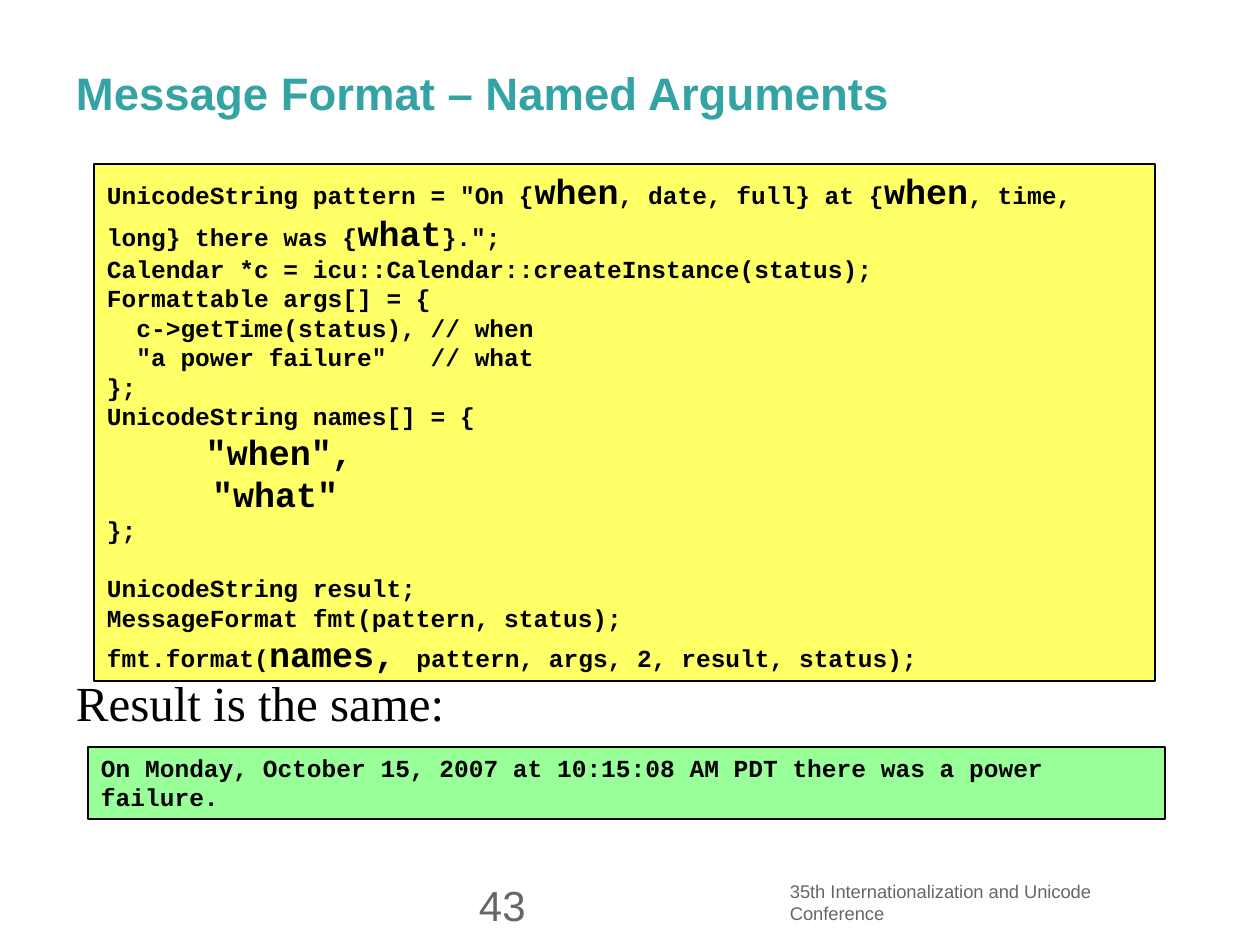
from dataclasses import dataclass

from pptx import Presentation, util as u
from pptx.dml.color import RGBColor
from pptx.enum import shapes, text

PX = u.Inches(1) / 126


@dataclass(frozen=True)
class Theme:
    teal: str = "33A3A3"
    black: str = "000000"
    gray: str = "666666"
    yellow: str = "FFFF66"
    green: str = "99FF99"
    sans: str = "Arial"
    serif: str = "Times New Roman"
    mono: str = "Courier New"
    title: float = 26
    code: float = 14
    emphasis: float = 20
    body: float = 28
    footer: float = 10.5
    number: float = 24


T = Theme()


def place(sp, box, inset=(13, 6, 13, 6), anchor=text.MSO_ANCHOR.TOP):
    """Set position and text frame layout in px; return the text frame."""
    sp.left, sp.top, sp.width, sp.height = [u.Emu(round(v * PX)) for v in box]
    tf = sp.text_frame
    tf.word_wrap = True
    tf.auto_size = text.MSO_AUTO_SIZE.NONE
    tf.vertical_anchor = anchor
    tf.margin_left, tf.margin_top, tf.margin_right, tf.margin_bottom = [
        u.Emu(round(v * PX)) for v in inset]
    return tf


def add_run(p, words, size, font, color, bold=False):
    p.alignment = text.PP_ALIGN.LEFT
    r = p.add_run()
    r.text = words
    r.font.size = u.Pt(size)
    r.font.name = font
    r.font.bold = bold
    r.font.color.rgb = RGBColor.from_string(color)


prs = Presentation()
prs.slide_width, prs.slide_height = u.Inches(10), u.Inches(7.5)
s = prs.slides.add_slide(prs.slide_layouts[5])

tf = place(s.shapes.title, (63, 32, 1134, 94), anchor=text.MSO_ANCHOR.BOTTOM)
add_run(tf.paragraphs[0], "Message Format – Named Arguments",
        T.title, T.sans, T.teal, True)

# Runs in a code line alternate between normal and emphasized size.
code = [
    ['UnicodeString pattern = "On {', "when", ", date, full} at {", "when",
     ", time, long} there was {", "what", '}.";'],
    ["Calendar *c = icu::Calendar::createInstance(status);"],
    ["Formattable args[] = {"],
    ["  c->getTime(status), // when"],
    ['  "a power failure"   // what'],
    ["};"],
    ["UnicodeString names[] = {"],
    [" ", '    "when",'],
    ["", '     "what"'],
    ["};"],
    ["UnicodeString result;"],
    ["MessageFormat fmt(pattern, status);"],
    ["fmt.format(", "names, ", "pattern, args, 2, result, status);"],
]
output = [["On Monday, October 15, 2007 at 10:15:08 AM PDT "
           "there was a power failure."]]
RESULT_LINE = 10

for box, fill, lines in [((94, 164, 1061, 517), T.yellow, code),
                         ((88, 747, 1077, 72), T.green, output)]:
    sp = s.shapes.add_shape(shapes.MSO_SHAPE.RECTANGLE, 0, 0, 0, 0)
    sp.shadow.inherit = False
    sp.fill.solid()
    sp.fill.fore_color.rgb = RGBColor.from_string(fill)
    sp.line.color.rgb = RGBColor.from_string(T.black)
    sp.line.width = u.Pt(1)
    tf = place(sp, box)
    for i, line in enumerate(lines):
        p = tf.paragraphs[0] if i == 0 else tf.add_paragraph()
        if i == RESULT_LINE:
            p.space_before = u.Pt(16.8)
        for j, words in enumerate(line):
            if words:
                size = T.emphasis if j % 2 else T.code
                add_run(p, words, size, T.mono, T.black, True)

labels = [
    ("Result is the same:", (63, 673, 1071, 63), (13, 6, 13, 6),
     T.body, T.serif, T.black, 0.9),
    ("35th Internationalization and Unicode Conference", (790, 880, 378, 45),
     (0, 0, 0, 0), T.footer, T.sans, T.gray, 1.0),
    ("43", (479, 879, 302, 47), (0, 0, 0, 0),
     T.number, T.sans, T.gray, 1.0),
]
for words, box, inset, size, font, color, spacing in labels:
    tf = place(s.shapes.add_textbox(0, 0, 0, 0), box, inset)
    p = tf.paragraphs[0]
    p.line_spacing = spacing
    add_run(p, words, size, font, color)

prs.save("out.pptx")
